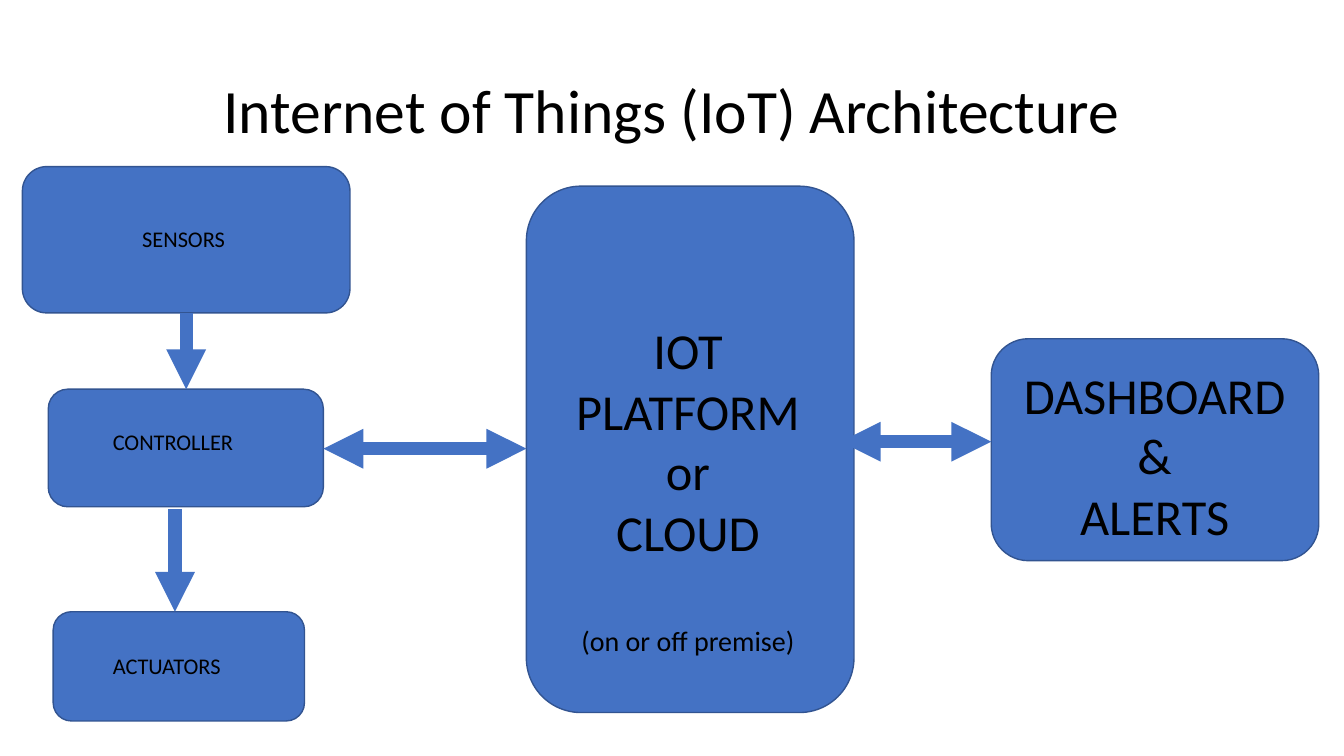
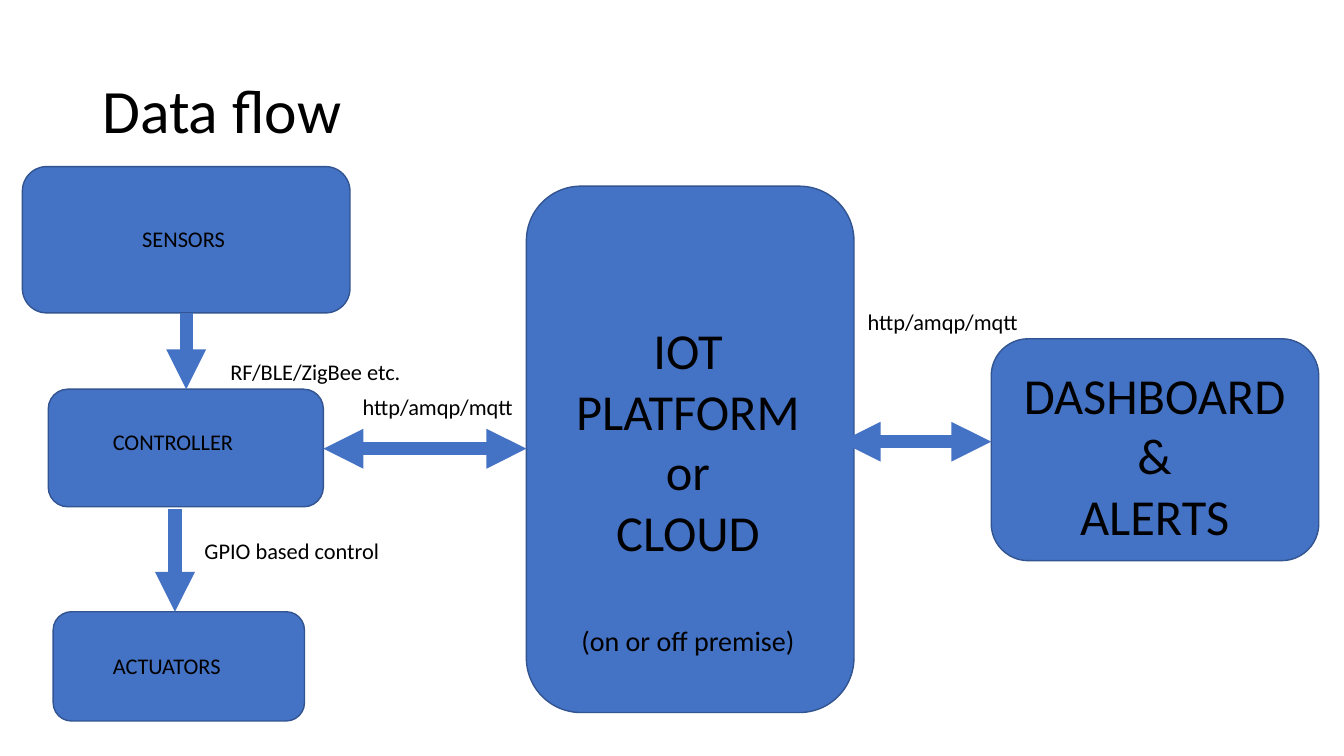
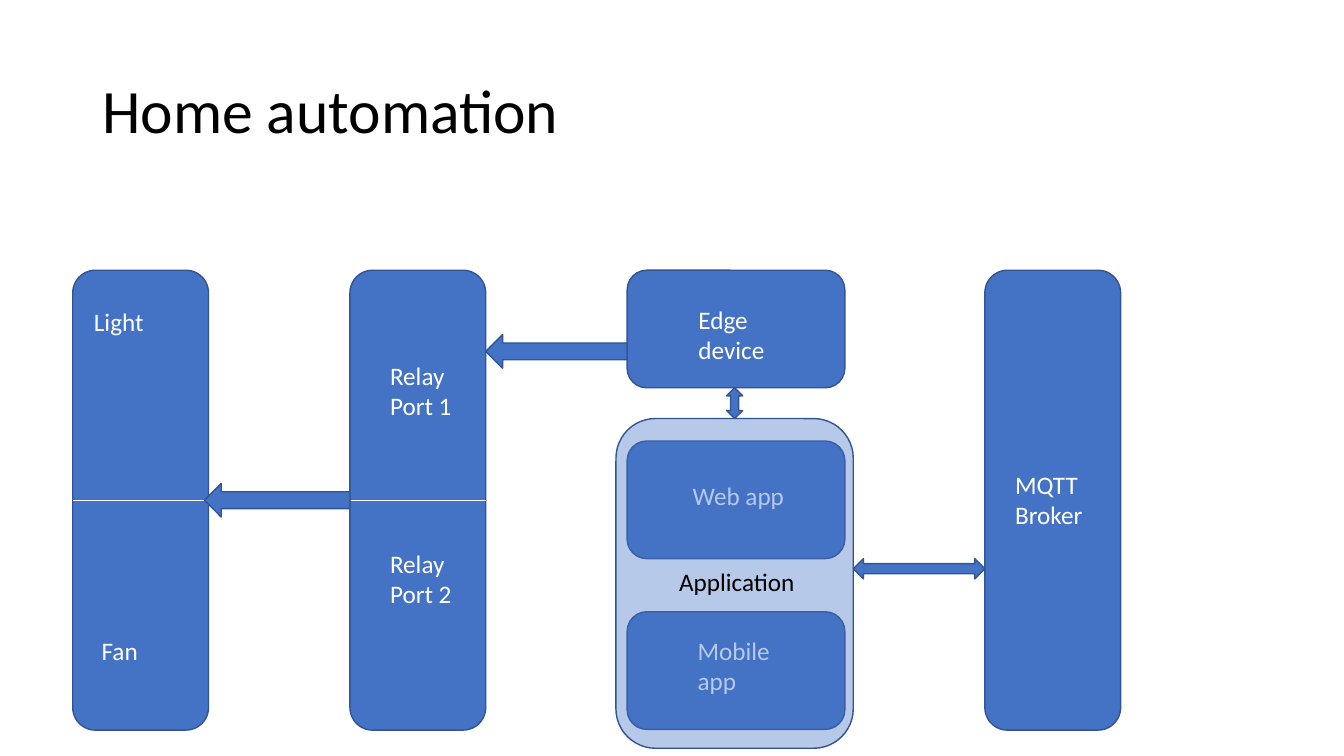
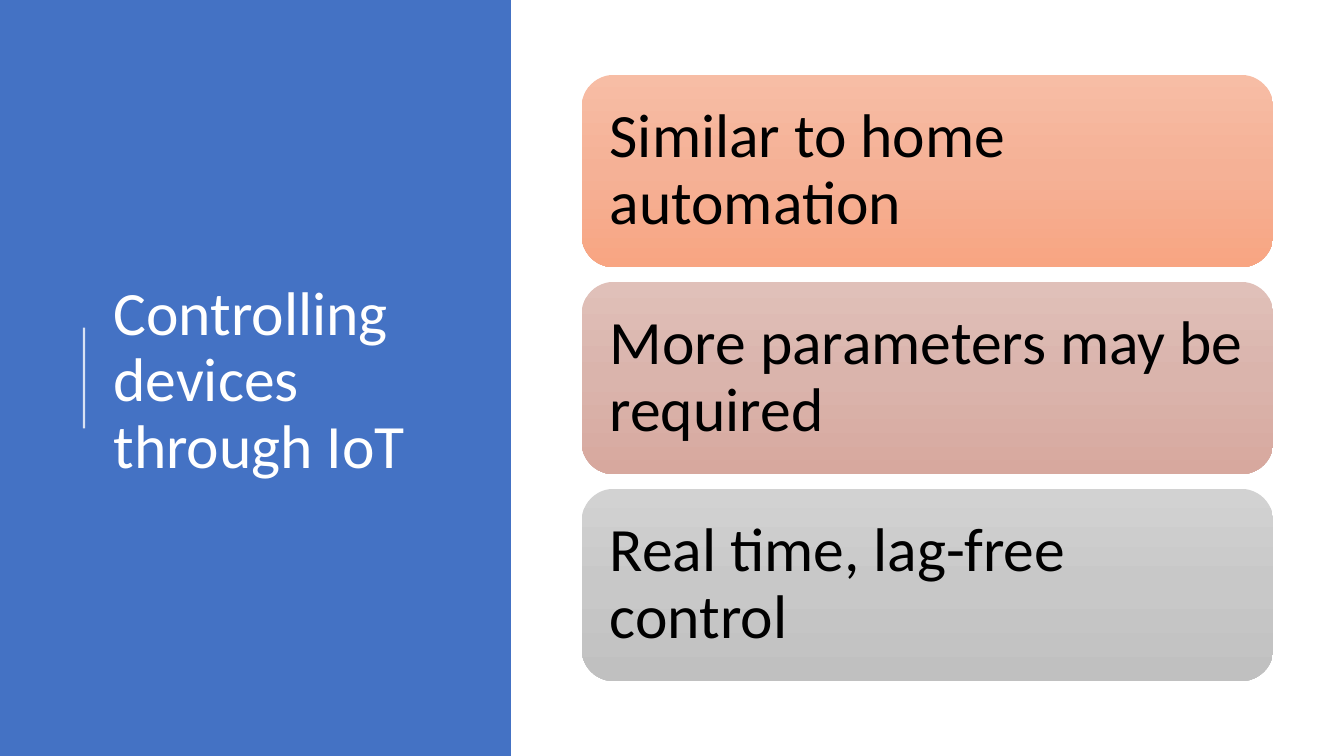
from copy import deepcopy
from dataclasses import dataclass

from lxml.etree import SubElement
from pptx import Presentation
from pptx.dml.color import RGBColor
from pptx.enum.shapes import MSO_CONNECTOR, MSO_SHAPE
from pptx.enum.text import MSO_ANCHOR, PP_ALIGN
from pptx.oxml.ns import qn
from pptx.util import Pt


@dataclass(frozen=True)
class Theme:
    font: str = "Calibri"
    blue: str = "4472C4"
    outline: str = "325491"
    black: str = "000000"
    white: str = "FFFFFF"
    title_size: int = 44
    headline_size: int = 36
    note_size: int = 20
    body_size: int = 18
    label_size: int = 16
    title_spacing: float = 0.9
    arrow_weight: float = 9.5
    card_gradients: tuple = (
        ("F7BDA5", "F5B196", "F8A582"),
        ("E0C0B9", "DAB4AC", "D7A89E"),
        ("D2D2D2", "C8C8C8", "C0C0C0"),
    )


THEME = Theme()


@dataclass(frozen=True)
class Box:
    left: float
    top: float
    width: float
    height: float

    @property
    def right(self):
        return self.left + self.width

    @property
    def bottom(self):
        return self.top + self.height

    @property
    def middle(self):
        return self.top + self.height / 2

    def inside(self, left, top, width, height):
        return Box(self.left + left, self.top + top, width, height)

    def lengths(self):
        return [Pt(value) for value in (self.left, self.top, self.width, self.height)]


PAGE = Box(0, 0, 960, 540)
TITLE = PAGE.inside(66, 29, 828, 104.5)


def color(value):
    return RGBColor.from_string(value)


def set_alpha(color_parent, percent):
    color_element = color_parent.find(".//" + qn("a:srgbClr"))
    SubElement(color_element, qn("a:alpha")).set("val", str(percent * 1000))


def write(shape, lines, size, text_color, align=PP_ALIGN.LEFT, anchor=MSO_ANCHOR.TOP, spacing=None):
    text_frame = shape.text_frame
    text_frame.word_wrap = True
    text_frame.vertical_anchor = anchor
    text_frame.text = "\n".join(lines)
    for paragraph in text_frame.paragraphs:
        paragraph.alignment = align
        paragraph.line_spacing = spacing
        for run in paragraph.runs:
            run.font.name = THEME.font
            run.font.size = Pt(size)
            run.font.color.rgb = color(text_color)
    return text_frame


def add_text(slide, box, lines, size=THEME.body_size, text_color=THEME.white, **layout):
    return write(slide.shapes.add_textbox(*box.lengths()), lines, size, text_color, **layout)


def add_title(slide, box, title, text_color=THEME.black, align=PP_ALIGN.LEFT):
    add_text(slide, box, [title], THEME.title_size, text_color, align=align,
             anchor=MSO_ANCHOR.MIDDLE, spacing=THEME.title_spacing)


def add_label(slide, box, label):
    add_text(slide, box, [label], THEME.label_size, THEME.black)


def add_block(slide, box, kind=MSO_SHAPE.ROUNDED_RECTANGLE, outlined=True):
    shape = slide.shapes.add_shape(kind, *box.lengths())
    shape.shadow.inherit = False
    shape.fill.solid()
    shape.fill.fore_color.rgb = color(THEME.blue)
    if outlined:
        shape.line.color.rgb = color(THEME.outline)
        shape.line.width = Pt(1)
    else:
        shape.line.fill.background()
    return shape


def add_line(slide, start, end, line_color, weight, ends=()):
    points = [Pt(value) for value in (*start, *end)]
    connector = slide.shapes.add_connector(MSO_CONNECTOR.STRAIGHT, *points)
    connector.line.color.rgb = color(line_color)
    connector.line.width = Pt(weight)
    properties = connector._element.spPr
    for end_name in ends:
        SubElement(properties.find(qn("a:ln")), qn("a:" + end_name)).set("type", "triangle")
    SubElement(properties, qn("a:effectLst"))
    return connector


def add_arrow(slide, start, end, double=False):
    ends = ("headEnd", "tailEnd") if double else ("tailEnd",)
    add_line(slide, start, end, THEME.blue, THEME.arrow_weight, ends)


def draw_architecture(slide, area):
    sensors = area.inside(16, 119, 234, 104.5)
    controller = area.inside(34.5, 278, 196.5, 84)
    actuators = area.inside(38, 437, 179.5, 78)
    platform = area.inside(376, 133, 234, 376)
    dashboard = area.inside(708, 242, 234, 158.5)
    for box in (sensors, controller, platform, dashboard, actuators):
        add_block(slide, box)

    for box, label, left, top in (
        (sensors, "SENSORS", 78.5, 38),
        (controller, "CONTROLLER", 39, 24),
        (actuators, "ACTUATORS", 35.5, 25),
    ):
        add_label(slide, box.inside(left, top, 200, 27), label)

    platform_text = add_text(
        slide, platform.inside(15.7, 91.7, 199.5, 250),
        ["IOT PLATFORM", "or", "CLOUD", "(on or off premise)"],
        THEME.headline_size, THEME.black, align=PP_ALIGN.CENTER)
    premise = platform_text.paragraphs[-1]
    premise.space_before = Pt(44)
    premise.runs[0].font.size = Pt(THEME.note_size)
    add_text(slide, dashboard.inside(-4.5, 14.5, 242.5, 138), ["DASHBOARD", "&", "ALERTS"],
             THEME.headline_size, THEME.black, align=PP_ALIGN.CENTER)

    sensor_x, actuator_x = area.left + 133, area.left + 125
    dashboard_y = area.top + 315.5
    add_arrow(slide, (sensor_x, sensors.bottom), (sensor_x, controller.top))
    add_arrow(slide, (actuator_x, controller.bottom + 1.5), (actuator_x, actuators.top))
    add_arrow(slide, (controller.right, controller.middle + 0.5),
              (platform.left, controller.middle + 0.5), double=True)
    add_arrow(slide, (platform.right - 9.5, dashboard_y),
              (dashboard.left, dashboard_y), double=True)


def draw_protocols(slide, area):
    for label, left, top in (
        ("http/amqp/mqtt", 612.7, 216.7),
        ("GPIO based control", 139, 380),
        ("http/amqp/mqtt", 252, 277),
        ("RF/BLE/ZigBee etc.", 157.5, 252),
    ):
        add_label(slide, area.inside(left, top, 200, 27), label)


def draw_home_automation(slide, area):
    column_width, column_height, column_step = 97, 328.5, 198
    node_width, node_height, row_step = 155.5, 84, 122
    appliances, relay = (
        area.inside(column_step * index, 0, column_width, column_height) for index in range(2))
    broker = area.inside(651.5, 0, column_width, column_height)
    edge, web, mobile = (
        area.inside(column_step * 2, row_step * row, node_width, node_height) for row in range(3))
    application = area.inside(388, 106, 169.5, 235.5)

    for box in (appliances, relay, edge, broker, web, mobile):
        add_block(slide, box)
    divider_y = appliances.middle
    add_line(slide, (appliances.left, divider_y), (relay.right, divider_y), THEME.white, 0.5)

    for box, lines, left, top in (
        (appliances, ["Light"], 8, 22.5),
        (appliances, ["Fan"], 13.5, 257),
        (relay, ["Relay", "Port 1"], 21.5, 60.5),
        (relay, ["Relay", "Port 2"], 21.5, 195),
        (edge, ["Edge device"], 43.8, 21),
        (web, ["Web app"], 39.6, 24.3),
        (mobile, ["Mobile app"], 43.2, 13),
        (broker, ["MQTT", "Broker"], 14.5, 138.5),
    ):
        add_text(slide, box.inside(left, top, 84.5, 29 if len(lines) == 1 else 51), lines)

    frame = add_block(slide, application)
    set_alpha(frame._element.spPr.find(qn("a:solidFill")), 38)
    add_text(slide, application.inside(38, 102, 111, 29), ["Application"],
             text_color=THEME.black)

    for kind, box in (
        (MSO_SHAPE.LEFT_RIGHT_ARROW,
         Box(application.right, application.top + 100, broker.left - application.right, 14.5)),
        (MSO_SHAPE.UP_DOWN_ARROW,
         Box(edge.left + 71, edge.bottom, 11.5, application.top - edge.bottom)),
        (MSO_SHAPE.LEFT_ARROW,
         Box(relay.right, edge.top + 46, edge.left - relay.right, 24)),
        (MSO_SHAPE.LEFT_ARROW,
         Box(appliances.right - 3, divider_y - 12, relay.left - appliances.right + 3, 24)),
    ):
        add_block(slide, box, kind)


def draw_title_panel(slide, panel, title):
    add_block(slide, panel, MSO_SHAPE.RECTANGLE, outlined=False)
    accent_x = panel.left + 60
    accent = add_line(slide, (accent_x, panel.middle + 36), (accent_x, panel.middle - 36),
                      THEME.white, 1.5)
    set_alpha(accent._element.spPr.find(qn("a:ln")), 80)
    add_title(slide, panel.inside(74, 56, 266, 433.5), title, THEME.white)


def fill_gradient(shape, colors):
    shape.fill.gradient()
    shape.fill.gradient_angle = 270
    stops = shape._element.spPr.find(".//" + qn("a:gsLst"))
    stops.insert(1, deepcopy(stops[0]))
    for index, (stop, value) in enumerate(zip(shape.fill.gradient_stops, colors)):
        stop.position = index / (len(colors) - 1)
        stop.color.rgb = color(value)


def draw_cards(slide, area, messages):
    gap = 10.5
    height = (area.height - gap * (len(messages) - 1)) / len(messages)
    for index, (message, colors) in enumerate(zip(messages, THEME.card_gradients)):
        box = area.inside(0, index * (height + gap), area.width, height)
        card = add_block(slide, box, outlined=False)
        fill_gradient(card, colors)
        text_frame = write(card, [message], THEME.title_size, THEME.black,
                           anchor=MSO_ANCHOR.MIDDLE, spacing=THEME.title_spacing)
        text_frame.margin_left = text_frame.margin_right = Pt(13.3)


def main():
    presentation = Presentation()
    presentation.slide_width = Pt(PAGE.width)
    presentation.slide_height = Pt(PAGE.height)
    architecture, data_flow, home, control = (
        presentation.slides.add_slide(presentation.slide_layouts[6]) for _ in range(4))

    add_title(architecture, TITLE, "Internet of Things (IoT) Architecture",
              align=PP_ALIGN.CENTER)
    draw_architecture(architecture, PAGE)

    add_title(data_flow, TITLE, "Data flow")
    draw_architecture(data_flow, PAGE)
    draw_protocols(data_flow, PAGE)

    add_title(home, TITLE, "Home automation")
    draw_home_automation(home, PAGE.inside(52, 193, 748.5, 341.5))

    draw_title_panel(control, PAGE.inside(0, 0, 365, 540), "Controlling devices through IoT")
    draw_cards(control, PAGE.inside(415.5, 53.5, 494, 433),
               ["Similar to home automation", "More parameters may be required",
                "Real time, lag-free control"])

    presentation.save("out.pptx")


if __name__ == "__main__":
    main()
